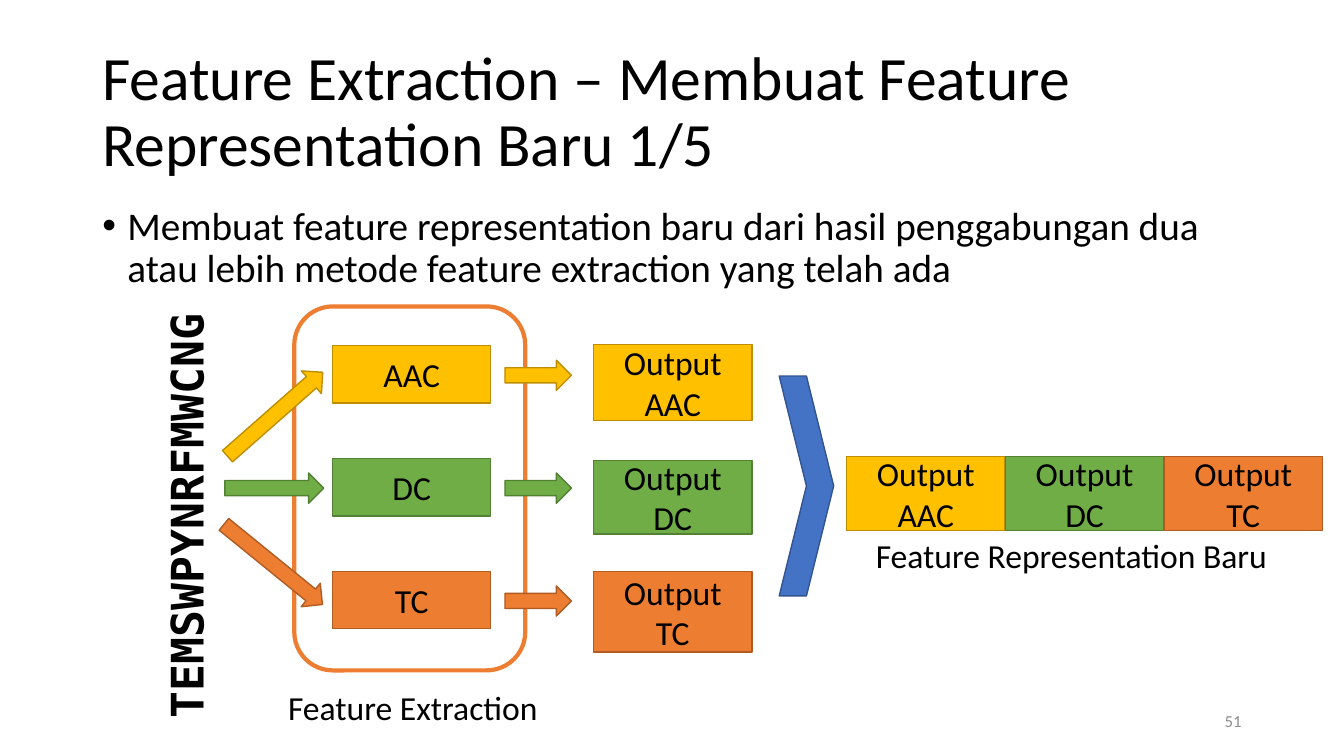
"""Build the slide on a new feature representation from combined extraction methods."""
from dataclasses import dataclass

from lxml import etree
from pptx import Presentation
from pptx.dml.color import RGBColor
from pptx.enum.shapes import MSO_SHAPE
from pptx.enum.text import MSO_ANCHOR, MSO_AUTO_SIZE, PP_ALIGN
from pptx.oxml.ns import qn
from pptx.util import Pt

RECTANGLE = MSO_SHAPE.RECTANGLE
ROUNDED = MSO_SHAPE.ROUNDED_RECTANGLE
ARROW = MSO_SHAPE.RIGHT_ARROW
CHEVRON = MSO_SHAPE.CHEVRON
TOP, MIDDLE = MSO_ANCHOR.TOP, MSO_ANCHOR.MIDDLE
LEFT, CENTER, RIGHT = PP_ALIGN.LEFT, PP_ALIGN.CENTER, PP_ALIGN.RIGHT
FIT_SHAPE = MSO_AUTO_SIZE.SHAPE_TO_FIT_TEXT

COLORS = {
    "text": "000000", "number": "8C8C8C",
    "yellow": "FFC000", "yellow_line": "BD8E00",
    "green": "70AD47", "green_line": "538035",
    "orange": "ED7D31", "orange_line": "AF5C24",
    "blue": "4472C4", "blue_line": "325491",
}
BOX_WIDTH = 113
METHOD_TOP, METHOD_HEIGHT, ROW_PITCH = 247, 41, 80.6
ARROW_HEIGHT = 21.6
STRIP_LEFT, STRIP_TOP, STRIP_HEIGHT, STRIP_PITCH = 604.8, 326.2, 52.6, 113.4


@dataclass(frozen=True)
class Frame:
    left: float
    top: float
    width: float
    height: float
    rotation: float = 0


@dataclass(frozen=True)
class Method:
    name: str
    color: str
    input_arrow: Frame
    output_top: float
    output_height: float


METHODS = [
    Method("AAC", "yellow", Frame(151.2, 285.1, 90.7, ARROW_HEIGHT, 318.6), 246.2, 54),
    Method("DC", "green", Frame(160.6, 337.9, 70.6, ARROW_HEIGHT), 329, 52.6),
    Method("TC", "orange", Frame(149.8, 392.4, 90.7, ARROW_HEIGHT, 39.1), 408.2, 57.6),
]


def write(shape, text: str, *, size: float = 24, font: str = "Calibri",
          color: str = "text", bold: bool = False, align=LEFT, anchor=TOP,
          wrap: bool = True, line_spacing: float = 1, bullet: str = "") -> None:
    frame = shape.text_frame
    frame.word_wrap = wrap
    frame.vertical_anchor = anchor
    if not wrap:
        frame.auto_size = FIT_SHAPE
    para = frame.paragraphs[0]
    para.alignment = align
    para.line_spacing = line_spacing
    if bullet:
        properties = para._p.get_or_add_pPr()
        properties.set("marL", str(Pt(18)))
        properties.set("indent", str(-Pt(18)))
        etree.SubElement(properties, qn("a:buFont")).set("typeface", "Arial")
        etree.SubElement(properties, qn("a:buChar")).set("char", bullet)
    span = para.add_run()
    span.text = text
    span.font.size = Pt(size)
    span.font.name = font
    span.font.bold = bold
    span.font.color.rgb = RGBColor.from_string(COLORS[color])


def add_text(page, place: Frame, text: str, **style) -> None:
    box = page.shapes.add_textbox(
        Pt(place.left), Pt(place.top), Pt(place.width), Pt(place.height))
    box.rotation = place.rotation
    write(box, text, **style)


def add_block(parent, kind, place: Frame, color: str, text: str = "") -> None:
    block = parent.shapes.add_shape(
        kind, Pt(place.left), Pt(place.top), Pt(place.width), Pt(place.height))
    block.rotation = place.rotation
    block.shadow.inherit = False
    block.fill.solid()
    block.fill.fore_color.rgb = RGBColor.from_string(COLORS[color])
    block.line.color.rgb = RGBColor.from_string(COLORS[f"{color}_line"])
    block.line.width = Pt(1)
    if text:
        write(block, text, align=CENTER, anchor=MIDDLE)


def add_extraction_outline(page) -> None:
    outline = page.shapes.add_shape(ROUNDED, Pt(210.2), Pt(218.9), Pt(165), Pt(260))
    outline.shadow.inherit = False
    outline.fill.background()
    outline.line.color.rgb = RGBColor.from_string(COLORS["orange"])
    outline.line.width = Pt(3)


def add_method_row(page, method: Method, top: float) -> None:
    row = page.shapes.add_group_shape()
    arrow_top = top + (METHOD_HEIGHT - ARROW_HEIGHT) / 2 + 0.6
    add_block(row, RECTANGLE, Frame(237.6, top, BOX_WIDTH, METHOD_HEIGHT),
              method.color, method.name)
    add_block(row, ARROW, method.input_arrow, method.color)
    add_block(row, ARROW, Frame(360.7, arrow_top, 47.5, ARROW_HEIGHT), method.color)
    add_block(row, RECTANGLE,
              Frame(424.1, method.output_top, BOX_WIDTH, method.output_height),
              method.color, f"Output {method.name}")


def main() -> None:
    deck = Presentation()
    deck.slide_width, deck.slide_height = Pt(960), Pt(540)
    page = deck.slides.add_slide(deck.slide_layouts[6])

    add_text(page, Frame(66, 28.8, 828, 104.4),
             "Feature Extraction – Membuat Feature Representation Baru 1/5",
             size=44, anchor=MIDDLE, line_spacing=0.9)
    add_text(page, Frame(66, 143.8, 828, 342.6),
             "Membuat feature representation baru dari hasil penggabungan dua "
             "atau lebih metode feature extraction yang telah ada",
             size=28, line_spacing=0.9, bullet="•")
    add_text(page, Frame(678, 500.5, 216, 28.8), "51",
             size=12, color="number", align=RIGHT, anchor=MIDDLE)

    add_extraction_outline(page)
    add_text(page, Frame(198.7, 487.4, 194.4, 36), "Feature Extraction", wrap=False)
    for index, method in enumerate(METHODS):
        add_method_row(page, method, METHOD_TOP + index * ROW_PITCH)

    add_block(page, CHEVRON, Frame(556.6, 268.6, 38.9, 157), "blue")
    add_text(page, Frame(618.5, 378.7, 296.6, 36), "Feature Representation Baru", wrap=False)
    for index, method in enumerate(METHODS):
        place = Frame(STRIP_LEFT + index * STRIP_PITCH, STRIP_TOP, BOX_WIDTH, STRIP_HEIGHT)
        add_block(page, RECTANGLE, place, method.color, f"Output {method.name}")
    add_text(page, Frame(-20.2, 344.2, 306, 46, 270), "TEMSWPYNRFMWCNG",
             size=32, font="DejaVu Sans Mono", bold=True, wrap=False)

    deck.save("out.pptx")


if __name__ == "__main__":
    main()
